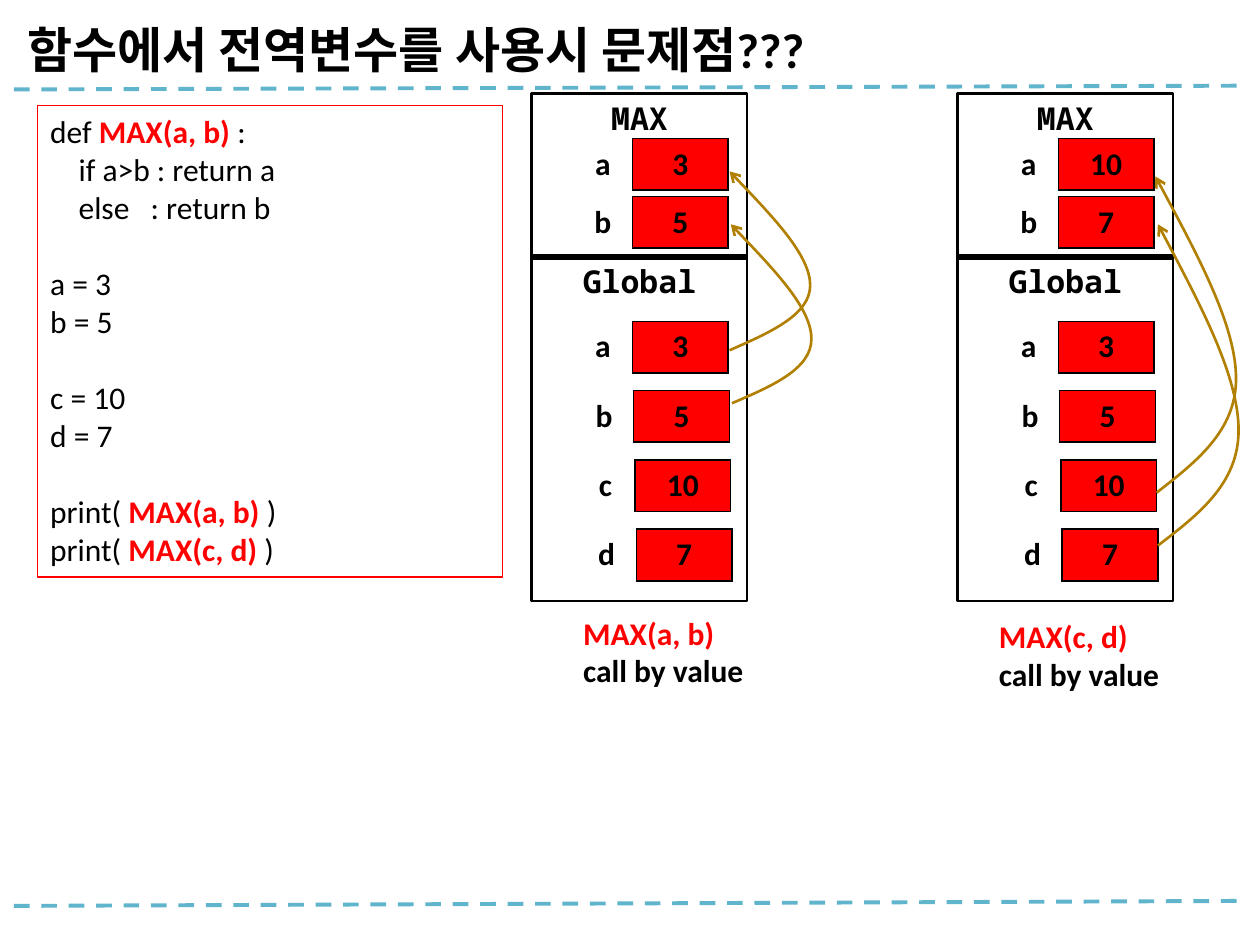
import pptx
import pptx.util
import pptx.dml.color
import pptx.enum.dml
import pptx.enum.shapes
import pptx.enum.text
import pptx.oxml
import pptx.oxml.ns
from pptx.util import Inches

BLACK, RED, GOLD, TEAL = "000000", "FF0000", "B28000", "60B5CC"
BODY, MONO = "Calibri", "Noto Sans Mono"
ANCHOR = pptx.enum.text.MSO_ANCHOR
ALIGN = pptx.enum.text.PP_ALIGN
SHAPE = pptx.enum.shapes.MSO_SHAPE
GLOBAL_ROWS = [("a", "3"), ("b", "5"), ("c", "10"), ("d", "7")]


def colour(value):
    """Turn a hex string into a colour."""
    return pptx.dml.color.RGBColor.from_string(value)


def child(parent, tag, **attributes):
    """Append a DrawingML element to a parent and return it."""
    element = pptx.oxml.parse_xml(f"<a:{tag} {pptx.oxml.ns.nsdecls('a')}/>")
    for name, value in attributes.items():
        element.set(name, str(value))
    parent.append(element)
    return element


def add_span(para, text, size=18, font=BODY, fill=BLACK, bold=False):
    """Add formatted text to a paragraph."""
    span = para.add_run()
    span.text = text
    span.font.size = pptx.util.Pt(size)
    span.font.name = font
    span.font.bold = bold
    span.font.color.rgb = colour(fill)


def add_line(page, top_left, top_right):
    """Draw a dashed rule across the page."""
    rule = page.shapes.add_connector(
        pptx.enum.shapes.MSO_CONNECTOR.STRAIGHT,
        Inches(0.11), Inches(top_left), Inches(9.87), Inches(top_right))
    rule.line.color.rgb = colour(TEAL)
    rule.line.width = pptx.util.Pt(2.25)
    rule.line.dash_style = pptx.enum.dml.MSO_LINE.DASH
    child(rule._element.spPr, "effectLst")


def add_title(page, text, left, top, width, height):
    """Place and format the title placeholder."""
    title = page.shapes.title
    title.left, title.top = Inches(left), Inches(top)
    title.width, title.height = Inches(width), Inches(height)
    frame = title.text_frame
    frame.auto_size = pptx.enum.text.MSO_AUTO_SIZE.NONE
    frame.vertical_anchor = ANCHOR.BOTTOM
    para = frame.paragraphs[0]
    para.alignment = ALIGN.LEFT
    add_span(para, text, size=28, bold=True)


def add_frame(page, left, top, width, height, line=BLACK, weight=1.5):
    """Draw an outlined rectangle and return its text frame."""
    box = page.shapes.add_shape(
        SHAPE.RECTANGLE, Inches(left), Inches(top), Inches(width), Inches(height))
    box.shadow.inherit = False
    box.fill.background()
    box.line.color.rgb = colour(line)
    box.line.width = pptx.util.Pt(weight)
    box.text_frame.word_wrap = True
    box.text_frame.vertical_anchor = ANCHOR.TOP
    return box.text_frame


def add_code(page, left, top, width, height):
    """Show the program listing in a red frame."""
    frame = add_frame(page, left, top, width, height, line=RED, weight=0.75)
    groups = [
        [("def ", "MAX(a, b) ", ":"), ("    if a>b : return a",), ("    else   : return b",)],
        [("a = 3",), ("b = 5",)],
        [("c = 10",), ("d = 7",)],
        [("print( ", "MAX(a, b) ", ")"), ("print( ", "MAX(c, d) ", ")")],
    ]
    para = None
    for group in groups:
        for index, parts in enumerate(group):
            first = para is None
            para = frame.paragraphs[0] if first else frame.add_paragraph()
            para.alignment = ALIGN.LEFT
            if index == 0 and not first:
                para.space_before = pptx.util.Pt(22)
            for part in parts:
                call = part.startswith("MAX")
                add_span(para, part, fill=RED if call else BLACK, bold=call)


def add_variable(page, name, value, left, top):
    """Show a variable as a name beside a red value cell."""
    widths, height = (0.47, 0.76), 0.41
    table = page.shapes.add_table(
        1, 2, Inches(left), Inches(top), Inches(sum(widths)), Inches(height)).table
    table.first_row = table.horz_banding = False
    for index, (text, width) in enumerate(zip((name, value), widths)):
        table.columns[index].width = Inches(width)
        cell = table.cell(0, index)
        cell.margin_left = cell.margin_right = cell.margin_top = cell.margin_bottom = 0
        cell.vertical_anchor = ANCHOR.MIDDLE
        for side in "LRTB":
            border = child(cell._tc.get_or_add_tcPr(), f"ln{side}", w=12700)
            if index == 1 or side == "R":
                child(child(border, "solidFill"), "srgbClr", val=BLACK)
            else:
                child(border, "noFill")
        if index == 1:
            cell.fill.solid()
            cell.fill.fore_color.rgb = colour(RED)
        else:
            cell.fill.background()
        para = cell.text_frame.paragraphs[0]
        para.alignment = ALIGN.CENTER
        add_span(para, text, bold=True)


def add_scope(page, name, left, top, height):
    """Draw a named memory region."""
    para = add_frame(page, left, top, 1.71, height).paragraphs[0]
    para.alignment = ALIGN.CENTER
    add_span(para, name, font=MONO, bold=True)


def add_curve(page, left, top, start, bulge, low, high, end):
    """Draw a curved arrow that bulges to the right between two points."""
    points = [
        start,
        ((start[0] + bulge) / 2, (start[1] + low) / 2), (bulge, low), (bulge, (low + high) / 2),
        (bulge, high), ((bulge + end[0]) / 2, (high + end[1]) / 2), end,
    ]
    places = [(Inches(left + x), Inches(top + y)) for x, y in points]
    builder = page.shapes.build_freeform(*places[0])
    builder.add_line_segments(places[1:], close=False)
    curve = builder.convert_to_shape()
    curve.shadow.inherit = False
    curve.fill.background()
    curve.line.color.rgb = colour(GOLD)
    curve.line.width = pptx.util.Pt(1.5)
    child(curve.line._get_or_add_ln(), "tailEnd", type="arrow")
    route = curve._element.find(".//" + pptx.oxml.ns.qn("a:path"))
    segments = route.findall(pptx.oxml.ns.qn("a:lnTo"))
    for first in range(0, len(segments), 3):
        bend = child(route, "cubicBezTo")
        for segment in segments[first:first + 3]:
            bend.append(segment[0])
            route.remove(segment)


def add_caption(page, call, left, top, width):
    """Write the call and how its arguments are passed."""
    box = page.shapes.add_textbox(Inches(left), Inches(top), Inches(width), Inches(0.71))
    box.text_frame.word_wrap = True
    add_span(box.text_frame.paragraphs[0], call, fill=RED, bold=True)
    add_span(box.text_frame.add_paragraph(), "call by value", bold=True)


def add_memory(page, left, top, arguments, curves):
    """Draw the global and MAX regions with their variables and arrows."""
    add_scope(page, "Global", left, top + 1.29, 2.74)
    for index, (name, value) in enumerate(GLOBAL_ROWS):
        add_variable(page, name, value, left + 0.33 + 0.01 * index, top + 1.81 + 0.55 * index)
    add_scope(page, "MAX", left, top, 1.31)
    for index, (name, value) in enumerate(zip("ab", arguments)):
        add_variable(page, name, value, left + 0.33, top + 0.36 + 0.46 * index)
    for curve in curves:
        add_curve(page, left, top, *curve)


def main():
    """Build and save the slide."""
    deck = pptx.Presentation()
    deck.slide_width, deck.slide_height = Inches(10), Inches(7.5)
    page = deck.slides.add_slide(deck.slide_layouts[5])
    add_line(page, 0.71, 0.68)
    add_line(page, 7.19, 7.15)
    add_title(page, "함수에서 전역변수를 사용시 문제점???", 0.12, 0, 9.76, 0.67)
    add_code(page, 0.3, 0.84, 3.69, 3.74)
    add_memory(page, 4.22, 0.74, ("3", "5"), [
        ((1.57, 2.04), 2.21, 1.76, 1.29, (1.57, 0.62)),
        ((1.59, 2.46), 2.22, 2.19, 1.71, (1.58, 1.04))])
    add_memory(page, 7.6, 0.74, ("10", "7"), [
        ((1.58, 3.17), 2.21, 2.68, 1.85, (1.57, 0.66)),
        ((1.59, 3.59), 2.23, 3.1, 2.25, (1.59, 1.04))])
    add_caption(page, "MAX(a, b)", 4.53, 4.82, 2.2)
    add_caption(page, "MAX(c, d)", 7.83, 4.85, 2)
    deck.save("out.pptx")


if __name__ == "__main__":
    main()
